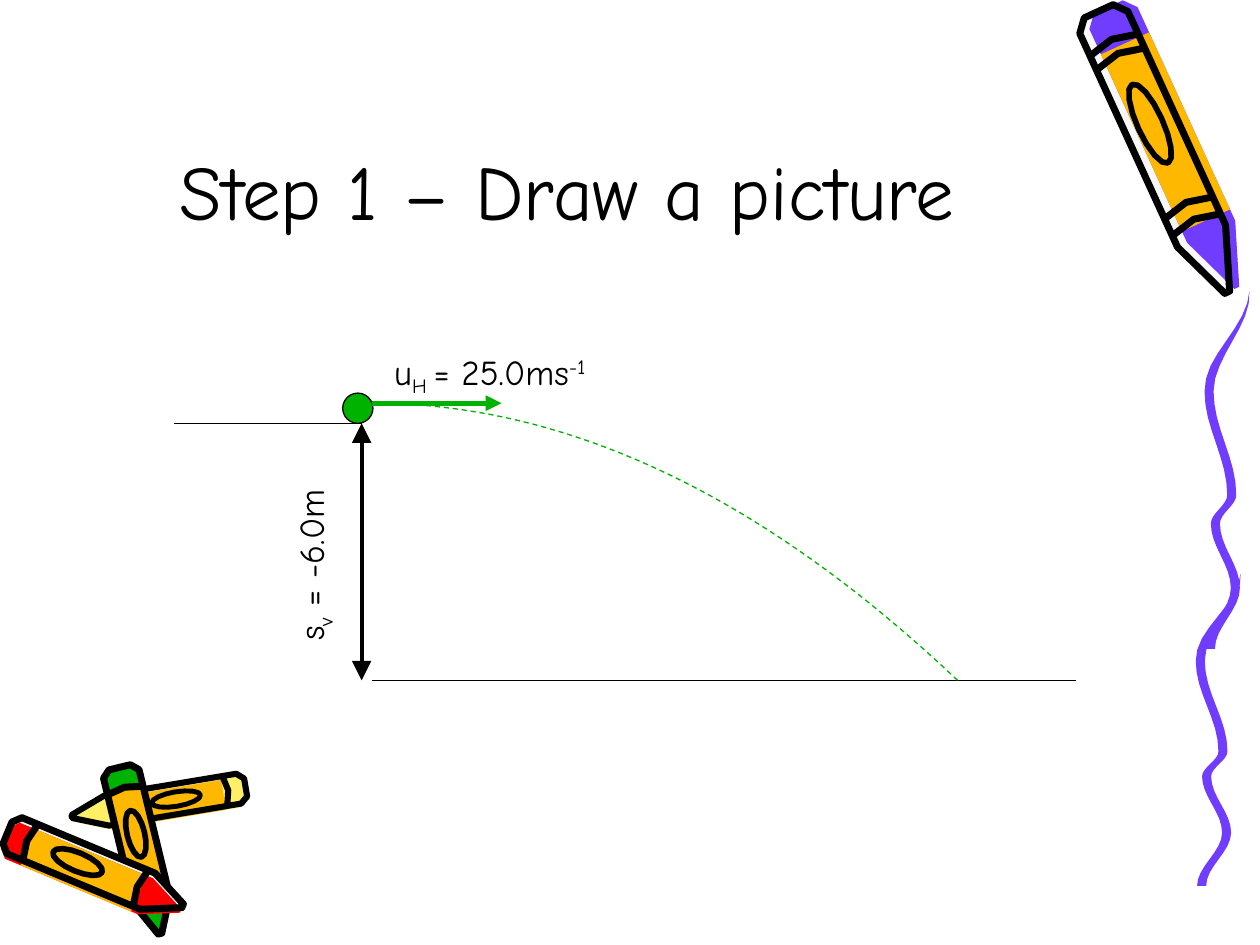
from collections import namedtuple
from math import cos, hypot, pi, sin

from lxml.etree import SubElement as Sub
from pptx import Presentation
from pptx.dml.color import RGBColor as Rgb
from pptx.enum.dml import MSO_LINE as Dash
from pptx.enum.shapes import MSO_CONNECTOR as Link, MSO_SHAPE as Form
from pptx.enum.text import MSO_ANCHOR as Anchor, PP_ALIGN as Align
from pptx.oxml.ns import qn
from pptx.util import Inches, Pt

FONT = "Comic Neue"
BLACK, GREEN, RED = "000000", "00B200", "FF0000"
PURPLE, GOLD, CREAM, PALE = "703DFF", "FFB800", "FFEF66", "F8F8F8"

LEDGE, FLOOR, CLIFF = 3.36, 5.4, 2.87
LAUNCH, LAND = (2.95, 3.2), (7.6, FLOOR)

Crayon = namedtuple("Crayon", "color butt tip width drift ink bands")
CRAYONS = [
    Crayon(CREAM, (1.95, 6.25), (0.57, 6.48), 0.24, -0.12, 3.5, (0.12, 0.76)),
    Crayon(GREEN, (0.95, 6.09), (1.27, 7.41), 0.29, 0, 4, (0.14, 0.76)),
    Crayon(RED, (0.06, 6.61), (1.45, 7.19), 0.31, 0.14, 4, (0.13, 0.76)),
]
MARKER = Crayon(PURPLE, (8.72, 0.09), (9.74, 2.32), 0.42, -0.2, 4, (0.12, 0.17, 0.7, 0.76))

SHELL = [(0, -0.3), (0, 0.3), (0.04, 0.5), (0.8, 0.5), (1, 0.05),
         (1, -0.05), (0.8, -0.5), (0.04, -0.5)]
SLEEVE = [(0.13, -0.5), (0.13, 0.5), (0.76, 0.5), (0.76, -0.5)]
SWAYS = [(0, 0.99), (0.28, 0.1), (0.57, 0.6), (0.65, 0.24), (0.83, 0.68), (1, 0.13)]


def tint(code):
    """Turn a hex string into a colour."""
    return Rgb.from_string(code)


def stroke(line, color, width):
    """Set the colour and width of a line."""
    line.color.rgb = tint(color)
    line.width = Pt(width)


def trace(shapes, spots, fill=None, ink=0, color=BLACK, close=True):
    """Draw an outline through points, filled or inked."""
    first, *rest = [(Inches(x), Inches(y)) for x, y in spots]
    pen = shapes.build_freeform(*first)
    pen.add_line_segments(rest, close=close)
    shape = pen.convert_to_shape()
    shape.shadow.inherit = False
    if fill:
        shape.fill.solid()
        shape.fill.fore_color.rgb = tint(fill)
    else:
        shape.fill.background()
    if ink:
        stroke(shape.line, color, ink)
    else:
        shape.line.fill.background()
    return shape


def place(spots, crayon, drift=0):
    """Map points along and across a crayon onto the slide."""
    (left, top), (right, low) = crayon.butt, crayon.tip
    run, drop = right - left, low - top
    side = crayon.width / hypot(run, drop)
    return [(left + run * u - drop * side * (v + drift),
             top + drop * u + run * side * (v + drift)) for u, v in spots]


def ring(mid=0.4, reach=0.14, half=0.24, count=16):
    """Return the oval mark on a crayon's sleeve."""
    turns = [2 * pi * k / count for k in range(count)]
    return [(mid + reach * cos(a), half * sin(a)) for a in turns]


def draw(shapes, crayon):
    """Draw a crayon whose colours drift from its outline."""
    parts = shapes.add_group_shape().shapes
    trace(parts, place(SHELL, crayon), PALE)
    trace(parts, place(SHELL, crayon, crayon.drift), crayon.color)
    trace(parts, place(SLEEVE, crayon, crayon.drift), GOLD)
    for u in crayon.bands:
        band = [(u, -0.5), (u - 0.02, 0), (u, 0.5)]
        trace(parts, place(band, crayon), ink=crayon.ink, close=False)
    trace(parts, place(ring(), crayon), ink=crayon.ink * 0.8)
    trace(parts, place(SHELL, crayon), ink=crayon.ink)


def wave(steps=8):
    """Ease between the sways from top to bottom."""
    out = []
    for (top, start), (low, end) in zip(SWAYS, SWAYS[1:]):
        for k in range(steps):
            t = k / steps
            out.append((start + (end - start) * (1 - cos(pi * t)) / 2, top + (low - top) * t))
    return out + [SWAYS[-1][::-1]]


def ribbon(shapes, left, top, width, height):
    """Draw a wavy ribbon that starts at a point."""
    mids = [(x, y, 0.1 * min(1, 5 * y)) for x, y in wave()]
    edge = [(x - half, y) for x, y, half in mids]
    back = [(x + half, y) for x, y, half in reversed(mids)]
    trace(shapes, [(left + width * x, top + height * y) for x, y in edge + back], PURPLE)


def rule(shapes, start, end, width=0.75, color=BLACK, tips=(), size="med"):
    """Draw a straight line with optional arrowheads."""
    line = shapes.add_connector(Link.STRAIGHT, *[Inches(n) for n in start + end])
    stroke(line.line, color, width)
    props = line.element.spPr
    for tip in tips:
        Sub(props.find(qn("a:ln")), qn(f"a:{tip}"), type="triangle", w=size, len=size)
    Sub(props, qn("a:effectLst"))


def style(run, size):
    """Set the font of a run."""
    run.font.name = FONT
    run.font.size = Pt(size)
    run.font.color.rgb = tint(BLACK)


def label(shapes, area, parts, turn=0):
    """Add a text box with raised and lowered runs."""
    box = shapes.add_textbox(*[Inches(n) for n in area])
    box.rotation = turn
    box.text_frame.word_wrap = True
    para = box.text_frame.paragraphs[0]
    for text, shift in parts:
        run = para.add_run()
        run.text = text
        style(run, 20)
        if shift:
            run._r.get_or_add_rPr().set("baseline", str(shift * 1000))


def head(title, text):
    """Place and format the title."""
    title.left, title.top, title.width, title.height = [Inches(n) for n in (0.75, 0.17, 7.51, 1.75)]
    frame = title.text_frame
    frame.text = text
    frame.vertical_anchor = Anchor.BOTTOM
    frame.paragraphs[0].alignment = Align.CENTER
    style(frame.paragraphs[0].runs[0], 44)


def ball(shapes, size=0.24):
    """Draw the ball on the ledge."""
    shape = shapes.add_shape(Form.OVAL, Inches(2.72), Inches(LEDGE - size), Inches(size), Inches(size))
    shape.shadow.inherit = False
    shape.fill.solid()
    shape.fill.fore_color.rgb = tint(GREEN)
    stroke(shape.line, BLACK, 0.75)


def flight(shapes, steps=40):
    """Draw the dashed parabola from launch to landing."""
    (left, top), (right, low) = LAUNCH, LAND
    times = [k / steps for k in range(steps + 1)]
    spots = [(left + (right - left) * t, top + (low - top) * t * t) for t in times]
    shape = trace(shapes, spots, ink=0.75, color=GREEN, close=False)
    shape.line.dash_style = Dash.DASH


def main():
    """Build the slide and save it."""
    deck = Presentation()
    deck.slide_width, deck.slide_height = Inches(10), Inches(7.5)
    shapes = deck.slides.add_slide(deck.slide_layouts[5]).shapes
    head(shapes.title, "Step 1 – Draw a picture")
    ribbon(shapes, 9.49, 4.55, 0.36, 2.48)
    ribbon(shapes, 9.56, 2.31, 0.36, 2.84)
    for crayon in CRAYONS + [MARKER]:
        draw(shapes, crayon)
    rule(shapes, (1.38, LEDGE), (CLIFF, LEDGE))
    rule(shapes, (2.95, FLOOR), (8.54, FLOOR))
    rule(shapes, (CLIFF, LEDGE), (CLIFF, FLOOR), 2.25, tips=("headEnd", "tailEnd"), size="lg")
    ball(shapes)
    flight(shapes)
    rule(shapes, LAUNCH, (3.98, LAUNCH[1]), 3, GREEN, ("tailEnd",))
    label(shapes, (3.03, 2.73, 2.36, 0.43), [("u", 0), ("H ", -25), ("= 25.0ms", 0), ("-1", 30)])
    label(shapes, (1.66, 4.17, 1.6, 0.43), [("s", 0), ("v", -25), (" = -6.0m", 0)], 270)
    deck.save("out.pptx")


if __name__ == "__main__":
    main()
